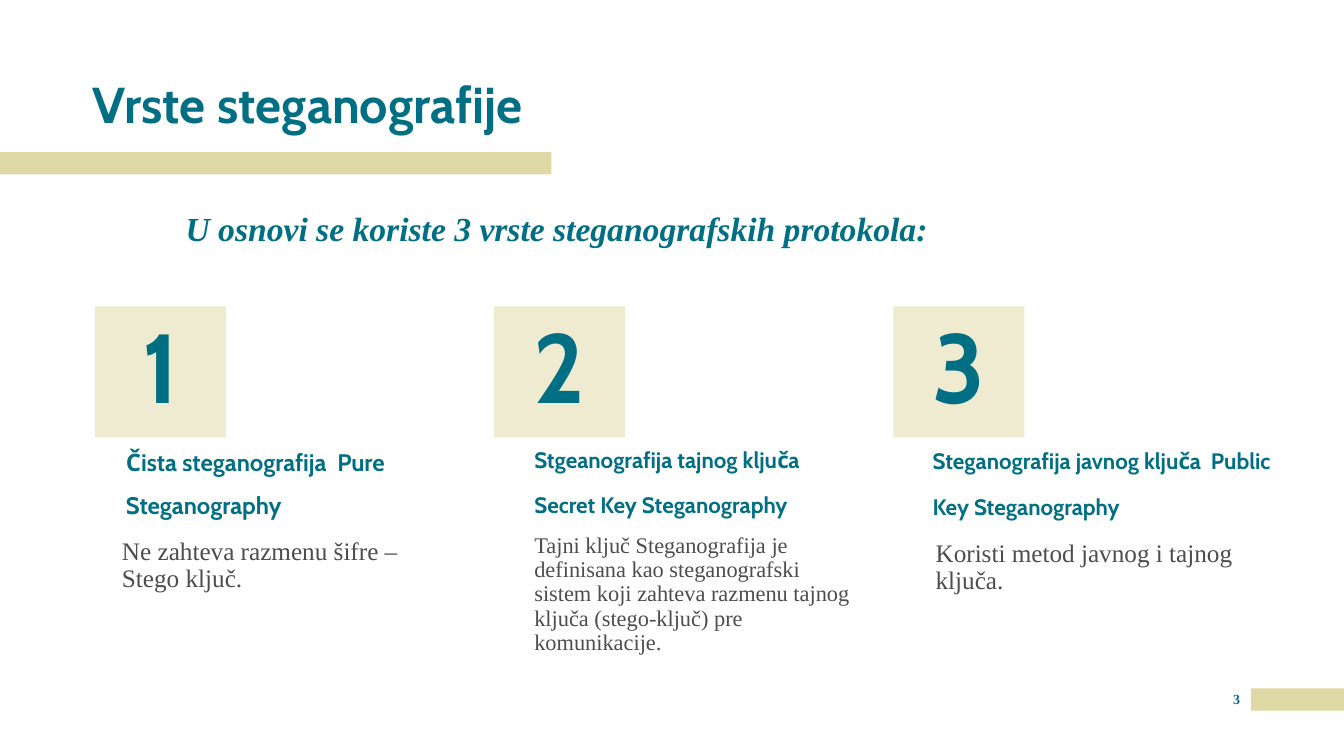
import pptx
import pptx.util
import pptx.dml.color
import pptx.enum.shapes
import pptx.enum.text
from lxml import etree

Inches = pptx.util.Inches
ALIGN = pptx.enum.text.PP_ALIGN
ANCHOR = pptx.enum.text.MSO_ANCHOR

TEAL, SAND, GREY = "006F83", "DED8A4", "4D4D4D"
SANS, SERIF = "Cabin", "Times New Roman"
STEP = 3.96

# Each card: (text, box, size, line spacing) for its heading and its body
CARDS = [
    (("Čista steganografija  Pure Steganography",
      (1.25, 4.29, 3.03, 0.86), 17.1, 1.5),
     ("Ne zahteva razmenu šifre – Stego ključ.",
      (1.21, 5.34, 3.2, 1.24), 18, 0.9)),
    (("Stgeanografija tajnog ključa  Secret Key Steganography",
      (5.3, 4.39, 3.2, 0.75), 16, 1.7),
     ("Tajni ključ Steganografija je definisana kao steganografski sistem "
      "koji zahteva razmenu tajnog ključa (stego-ključ) pre komunikacije.",
      (5.3, 5.3, 3.2, 1.24), 16, 0.9)),
    (("Steganografija javnog ključa  Public Key Steganography",
      (9.25, 4.38, 3.39, 0.78), 16, 1.7),
     ("Koristi metod javnog i tajnog ključa.",
      (9.28, 5.36, 3.2, 1.24), 18, 0.9)),
]


def color(code):
    return pptx.dml.color.RGBColor.from_string(code)


def place(shape, box):
    shape.left, shape.top, shape.width, shape.height = map(Inches, box)


def write(shape, text, size, face, code=TEAL, bold=True, italic=False,
          align=ALIGN.LEFT, anchor=ANCHOR.TOP, line=0.9, before=0):
    frame = shape.text_frame
    frame.word_wrap = True
    frame.auto_size = pptx.enum.text.MSO_AUTO_SIZE.NONE
    frame.vertical_anchor = anchor
    frame.margin_left = frame.margin_right = 0
    frame.margin_top = frame.margin_bottom = 0
    frame.text = text
    para = frame.paragraphs[0]
    para.alignment = align
    para.line_spacing = line
    para.space_before = pptx.util.Pt(before)
    font = para.font
    font.name, font.size = face, pptx.util.Pt(size)
    font.bold, font.italic = bold, italic
    font.color.rgb = color(code)
    return para


def label(slide, box, text, size, face, **style):
    shape = slide.shapes.add_textbox(*map(Inches, box))
    write(shape, text, size, face, **style)


def block(slide, box, alpha=100):
    """Add a sand rectangle with the given opacity in percent."""
    shape = slide.shapes.add_shape(
        pptx.enum.shapes.MSO_SHAPE.RECTANGLE, *map(Inches, box))
    shape.shadow.inherit = False
    shape.line.fill.background()
    shape.fill.solid()
    shape.fill.fore_color.rgb = color(SAND)
    if alpha < 100:
        tint = shape.fill._xPr.find(".//" + pptx.oxml.ns.qn("a:srgbClr"))
        etree.SubElement(tint, pptx.oxml.ns.qn("a:alpha"),
                         val=str(alpha * 1000))
    return shape


def plain(para):
    """Drop the bullet and indent that the body placeholder gives."""
    props = para._p.get_or_add_pPr()
    props.set("marL", "0")
    props.set("indent", "0")
    etree.SubElement(props, pptx.oxml.ns.qn("a:buNone"))
    # The default run properties must follow the bullet
    font = props.find(pptx.oxml.ns.qn("a:defRPr"))
    if font is not None:
        props.append(font)


def card(slide, index, head, body):
    tile = block(slide, (0.94 + index * STEP, 3.04, 1.3, 1.3), 50)
    write(tile, str(index + 1), 70, SANS, align=ALIGN.CENTER,
          anchor=ANCHOR.MIDDLE, before=10)
    text, box, size, line = head
    label(slide, box, text, size, SANS, anchor=ANCHOR.BOTTOM,
          line=line, before=10)
    text, box, size, line = body
    label(slide, box, text, size, SERIF, code=GREY, bold=False,
          line=line, before=6)


def main():
    deck = pptx.Presentation()
    deck.slide_width, deck.slide_height = Inches(13.33), Inches(7.5)
    slide = deck.slides.add_slide(deck.slide_layouts[1])

    block(slide, (12.41, 6.83, 0.92, 0.22))
    block(slide, (0, 1.51, 5.47, 0.22))

    title, intro = slide.placeholders
    place(title, (0.92, 0.68, 8.53, 0.65))
    write(title, "Vrste steganografije", 36, SANS, anchor=ANCHOR.BOTTOM)
    place(intro, (1.84, 2.09, 8.53, 0.4))
    plain(write(intro, "U osnovi se koriste 3 vrste steganografskih protokola:",
                24, SERIF, italic=True, anchor=ANCHOR.MIDDLE))

    for index, (head, body) in enumerate(CARDS):
        card(slide, index, head, body)

    label(slide, (12.12, 6.85, 0.29, 0.25), "3", 10, SERIF,
          align=ALIGN.CENTER, line=1)
    deck.save("out.pptx")


if __name__ == "__main__":
    main()
